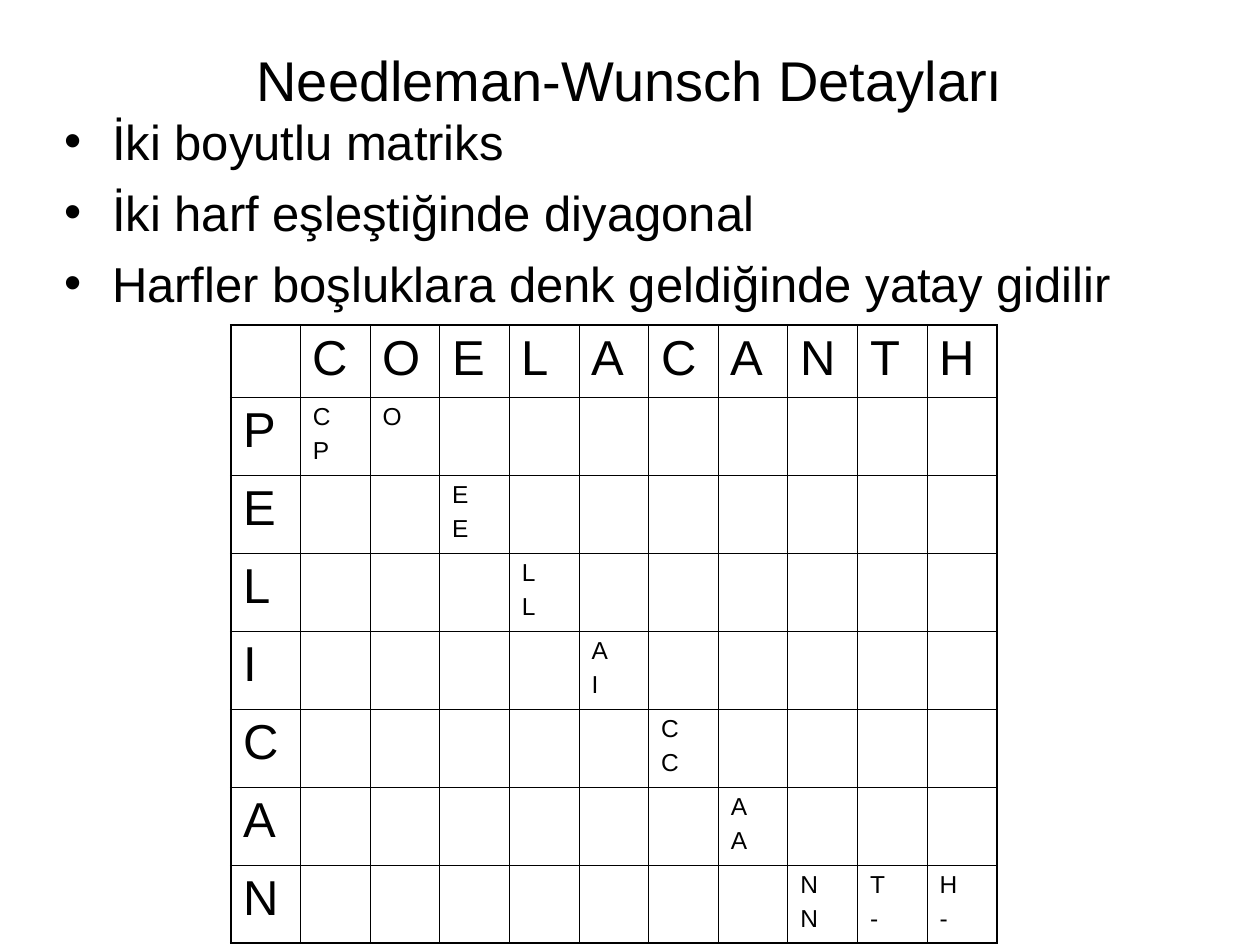
from dataclasses import dataclass

from lxml import etree
from pptx import Presentation
from pptx import util as u
from pptx.dml import color
from pptx.enum import text
from pptx.oxml import ns

COLORS = {"ink": "000000"}
FONT = "Arial"
TITLE_SIZE, BODY_SIZE, PAIR_SIZE = 32, 28, 14
BODY_GAP, PAIR_GAP = 7, 3.5
BULLET_INDENT = 27
INNER_LINE, OUTER_LINE = 0.45, 1.08

TABLE_LEFT, TABLE_TOP = 131.8, 185.8
COLUMN_WIDTH, HEADER_HEIGHT, ROW_HEIGHT = 39.8, 41, 44.6
ACROSS, DOWN = "COELACANTH", "PELICAN"


@dataclass(frozen=True)
class Area:
    left: float
    top: float
    width: float
    height: float


@dataclass(frozen=True)
class Step:
    """Letters of the alignment written in one cell of the matrix."""
    row: int
    column: int
    letters: str


STEPS = [
    Step(1, 1, "CP"), Step(1, 2, "O"), Step(2, 3, "EE"), Step(3, 4, "LL"),
    Step(4, 5, "AI"), Step(5, 6, "CC"), Step(6, 7, "AA"), Step(7, 8, "NN"),
    Step(7, 9, "T-"), Step(7, 10, "H-"),
]
BULLETS = [
    "İki boyutlu matriks",
    "İki harf eşleştiğinde diyagonal",
    "Harfler boşluklara denk geldiğinde yatay gidilir",
]


def add_bullet(para) -> None:
    properties = para._p.get_or_add_pPr()
    indent = u.Pt(BULLET_INDENT)
    properties.set("marL", str(indent))
    properties.set("indent", str(-indent))
    bullet_font = etree.SubElement(properties, ns.qn("a:buFont"))
    bullet_font.set("typeface", FONT)
    bullet = etree.SubElement(properties, ns.qn("a:buChar"))
    bullet.set("char", "•")


def write_lines(frame, lines, size: float, gap: float = 0, bullets: bool = False,
                align=text.PP_ALIGN.LEFT) -> None:
    for index, line in enumerate(lines):
        para = frame.add_paragraph() if index else frame.paragraphs[0]
        para.alignment = align
        para.space_before = u.Pt(gap if index else 0)
        if bullets:
            add_bullet(para)
        span = para.add_run()
        span.text = line
        span.font.size = u.Pt(size)
        span.font.name = FONT
        span.font.color.rgb = color.RGBColor.from_string(COLORS["ink"])


def add_text_frame(page, area: Area, anchor):
    box = page.shapes.add_textbox(u.Pt(area.left), u.Pt(area.top),
                                  u.Pt(area.width), u.Pt(area.height))
    frame = box.text_frame
    frame.word_wrap = True
    frame.vertical_anchor = anchor
    return frame


def set_borders(cell, outer: dict[str, bool]) -> None:
    """Draw the four sides, heavier where the side lies on the table's edge."""
    properties = cell._tc.get_or_add_tcPr()
    for side, is_outer in outer.items():
        line = etree.SubElement(properties, ns.qn(f"a:ln{side}"))
        line.set("w", str(u.Pt(OUTER_LINE if is_outer else INNER_LINE)))
        fill = etree.SubElement(line, ns.qn("a:solidFill"))
        etree.SubElement(fill, ns.qn("a:srgbClr")).set("val", COLORS["ink"])


def add_matrix(page) -> None:
    row_count, column_count = len(DOWN) + 1, len(ACROSS) + 1
    table = page.shapes.add_table(
        row_count, column_count, u.Pt(TABLE_LEFT), u.Pt(TABLE_TOP),
        u.Pt(COLUMN_WIDTH * column_count),
        u.Pt(HEADER_HEIGHT + ROW_HEIGHT * len(DOWN))).table
    table.first_row = table.horz_banding = False
    for column in table.columns:
        column.width = u.Pt(COLUMN_WIDTH)
    for index, row in enumerate(table.rows):
        row.height = u.Pt(ROW_HEIGHT if index else HEADER_HEIGHT)

    for row in range(row_count):
        for column in range(column_count):
            cell = table.cell(row, column)
            set_borders(cell, {"L": column == 0, "R": column == column_count - 1,
                               "T": row == 0, "B": row == row_count - 1})
            cell.fill.background()

    for column, letter in enumerate(ACROSS, start=1):
        write_lines(table.cell(0, column).text_frame, letter, BODY_SIZE)
    for row, letter in enumerate(DOWN, start=1):
        write_lines(table.cell(row, 0).text_frame, letter, BODY_SIZE)
    for step in STEPS:
        write_lines(table.cell(step.row, step.column).text_frame, step.letters,
                    PAIR_SIZE, PAIR_GAP)


def main() -> None:
    deck = Presentation()
    deck.slide_width, deck.slide_height = u.Pt(720), u.Pt(540)
    page = deck.slides.add_slide(deck.slide_layouts[6])

    title = add_text_frame(page, Area(36, 0, 648, 90), text.MSO_ANCHOR.MIDDLE)
    write_lines(title, ["Needleman-Wunsch Detayları"], TITLE_SIZE,
                align=text.PP_ALIGN.CENTER)
    body = add_text_frame(page, Area(30, 60, 642, 144), text.MSO_ANCHOR.TOP)
    write_lines(body, BULLETS, BODY_SIZE, BODY_GAP, bullets=True)
    add_matrix(page)

    deck.save("out.pptx")


if __name__ == "__main__":
    main()
